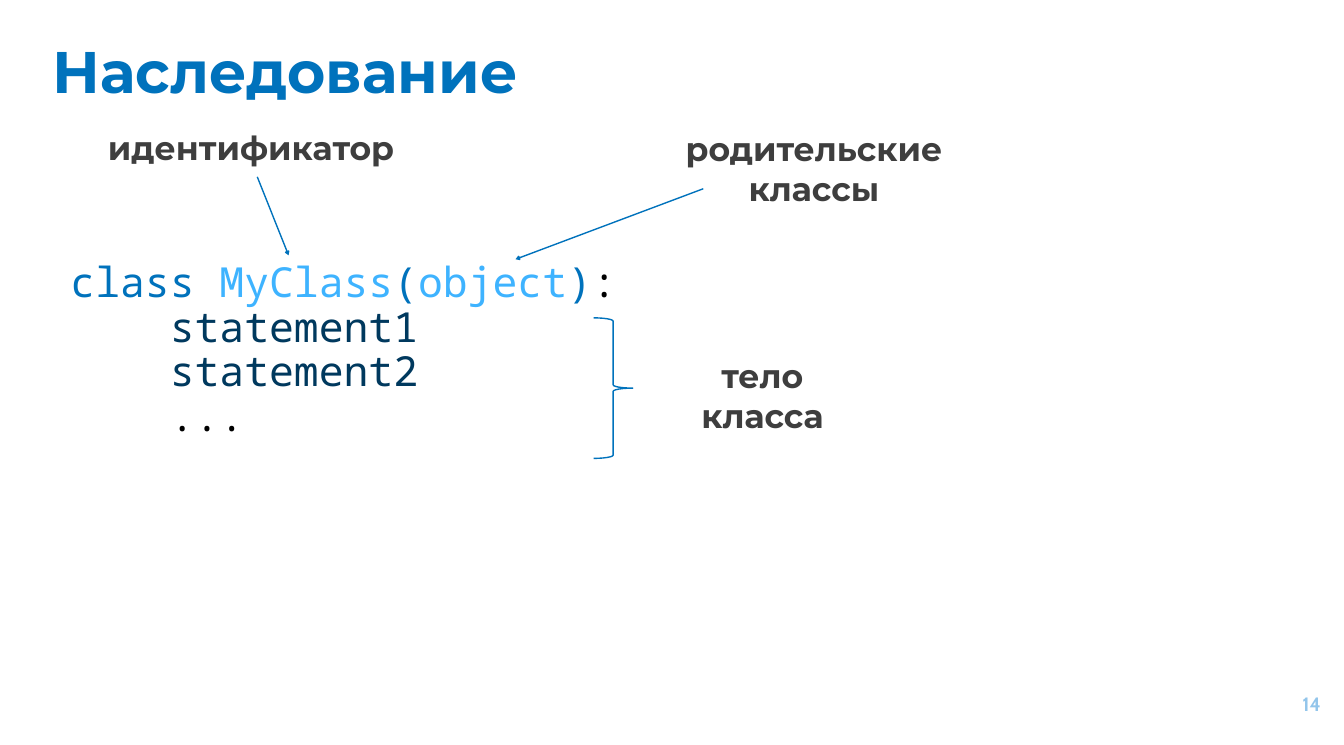
from lxml.etree import SubElement
from pptx import Presentation
from pptx.dml.color import RGBColor
from pptx.enum.shapes import MSO_CONNECTOR, MSO_SHAPE
from pptx.enum.text import MSO_ANCHOR, PP_ALIGN
from pptx.oxml.ns import qn
from pptx.util import Emu, Pt

PX = 9144  # 100 px to the inch
BLUE, SKY, NAVY = "0072BC", "3EB3FF", "00395E"
PALE, GREY, BLACK = "92C5EB", "3E3E3E", "000000"

TITLE = {"name": "Montserrat", "size": Pt(85), "bold": True}
LABEL = {"name": "Montserrat", "size": Pt(48), "bold": True}
NUMBER = {"name": "Cabin", "size": Pt(28), "bold": True}
CODE = {"name": "Noto Sans Mono", "size": Pt(60), "bold": False}

CODE_LINES = [
    [("class ", BLUE), ("MyClass", SKY), ("(", BLUE), ("object", SKY),
     (")", BLUE), (":", BLACK)],
    [("    statement1", NAVY)],
    [("    statement2", NAVY)],
    [("    ...", BLACK)],
]


def px(n):
    return Emu(n * PX)


def rgb(color):
    return RGBColor.from_string(color)


def add_text(slide, box, lines, font, align=PP_ALIGN.LEFT, inset=5,
             anchor=MSO_ANCHOR.TOP, spacing=1.0):
    """Each line is one paragraph: a list of (text, colour) runs."""
    tf = slide.shapes.add_textbox(*map(px, box)).text_frame
    settings = {"word_wrap": True, "vertical_anchor": anchor,
                "margin_left": px(10), "margin_right": px(10),
                "margin_top": px(inset), "margin_bottom": px(inset)}
    for name, value in settings.items():
        setattr(tf, name, value)
    for i, line in enumerate(lines):
        p = tf.add_paragraph() if i else tf.paragraphs[0]
        p.alignment = align
        p.line_spacing = spacing
        for text, color in line:
            r = p.add_run()
            r.text = text
            for name, value in font.items():
                setattr(r.font, name, value)
            r.font.color.rgb = rgb(color)


def add_label(slide, box, *lines):
    add_text(slide, box, [[(line, GREY)] for line in lines], LABEL,
             PP_ALIGN.CENTER)


def set_line(s):
    s.line.color.rgb = rgb(BLUE)
    s.line.width = Pt(2)


def add_arrow(slide, start, end):
    s = slide.shapes.add_connector(MSO_CONNECTOR.STRAIGHT,
                                   *map(px, start + end))
    set_line(s)
    SubElement(s.line._get_or_add_ln(), qn("a:tailEnd"), type="arrow")
    SubElement(s._element.spPr, qn("a:effectLst"))


def add_brace(slide, box):
    s = slide.shapes.add_shape(MSO_SHAPE.RIGHT_BRACE, *map(px, box))
    s.shadow.inherit = False
    s.fill.background()
    set_line(s)


def main():
    prs = Presentation()
    prs.slide_width, prs.slide_height = px(2706), px(1500)
    slide = prs.slides.add_slide(prs.slide_layouts[6])

    add_text(slide, (96, 61, 2393, 192), [[("Наследование", BLUE)]], TITLE,
             inset=10)
    add_text(slide, (2507, 1360, 162, 115), [[("14", PALE)]], NUMBER,
             PP_ALIGN.RIGHT, inset=10, anchor=MSO_ANCHOR.MIDDLE)
    add_text(slide, (132, 522, 1890, 465), CODE_LINES, CODE, spacing=0.9)

    add_label(slide, (164, 252, 683, 91), "идентификатор")
    add_label(slide, (1235, 254, 808, 172), "родительские классы")
    add_label(slide, (1321, 711, 428, 172), "тело", "класса")

    add_brace(slide, (1195, 640, 79, 283))
    add_arrow(slide, (518, 356), (581, 514))
    add_arrow(slide, (1416, 380), (1038, 522))

    prs.save("out.pptx")


if __name__ == "__main__":
    main()
